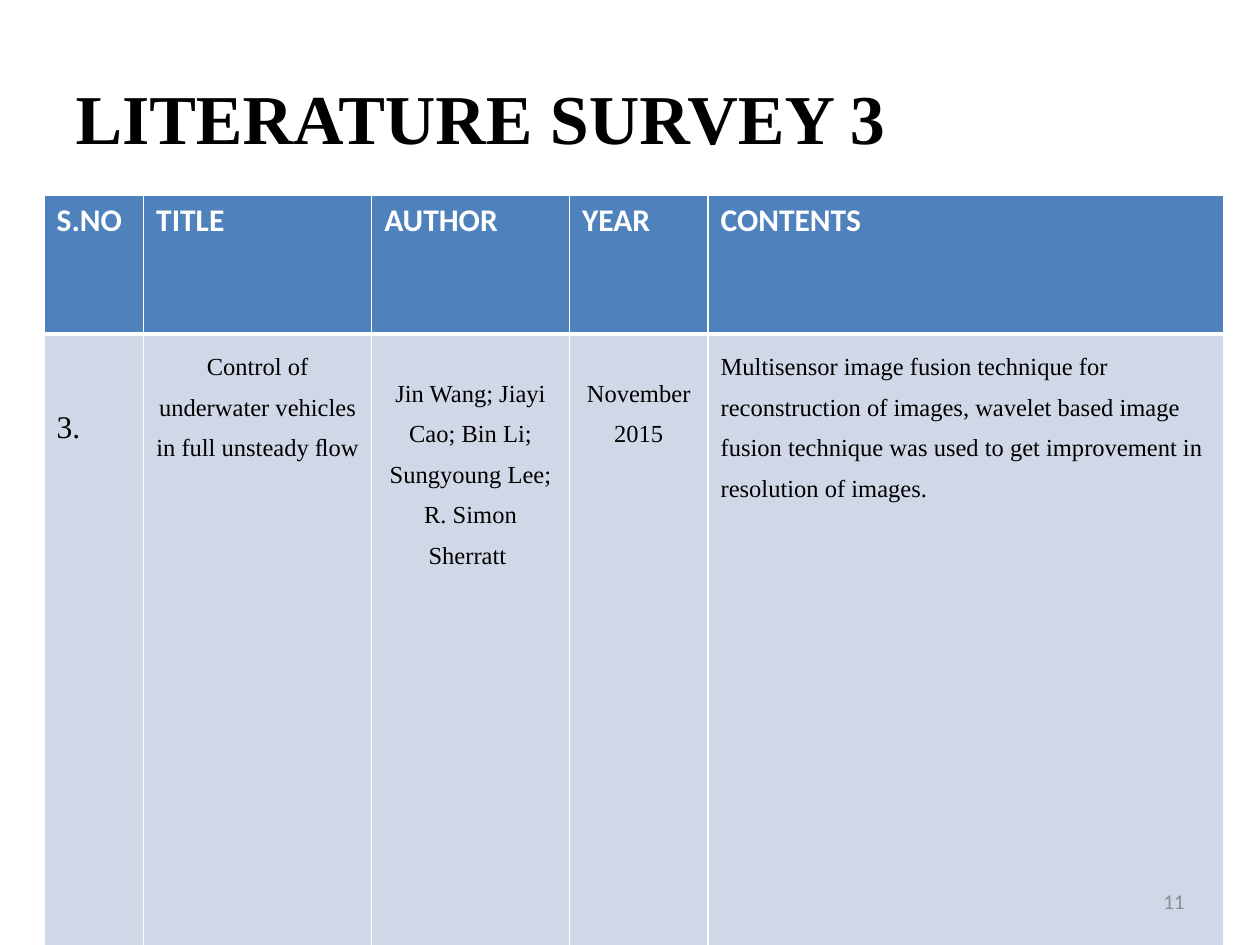
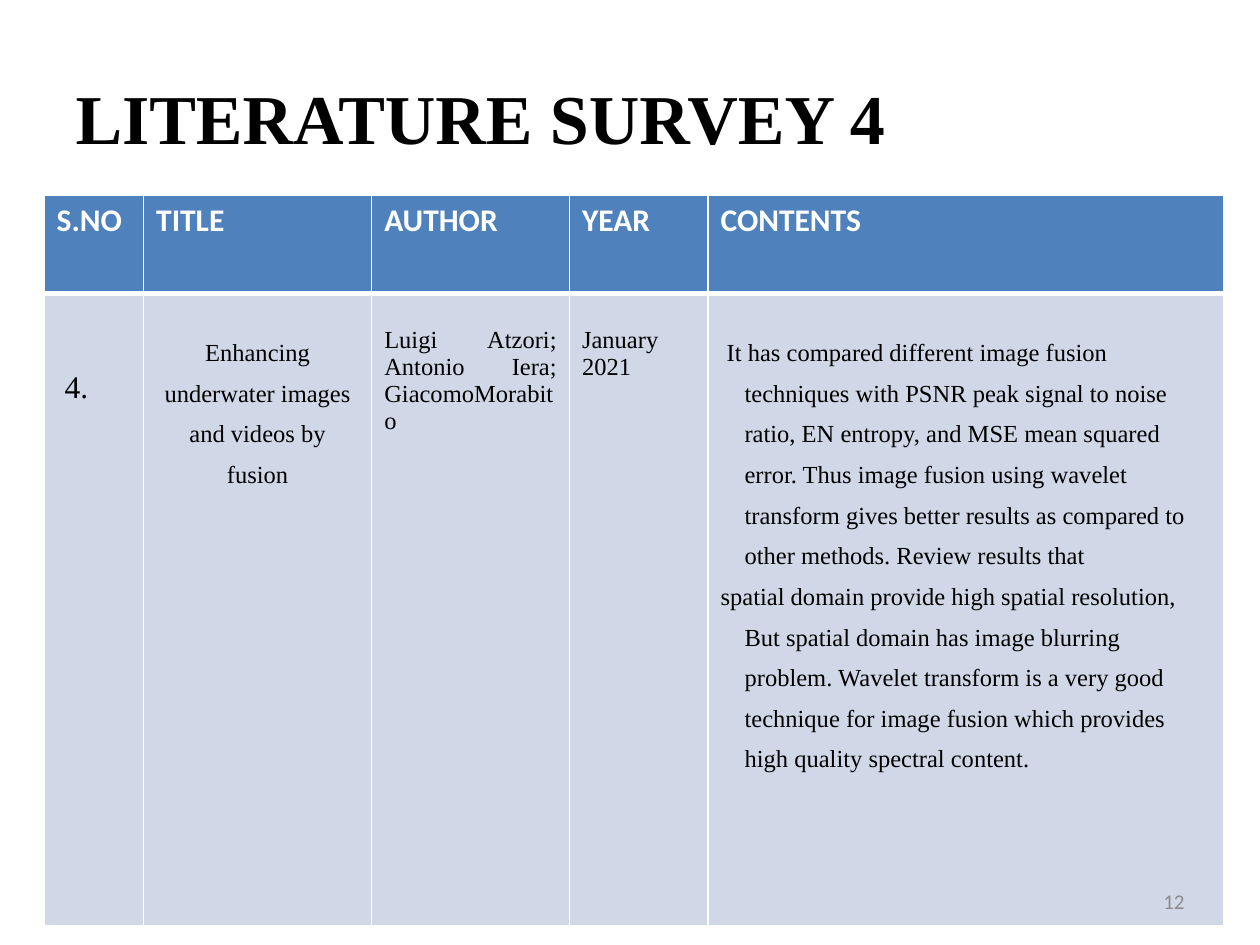
from lxml import etree
from pptx import Presentation
from pptx.dml.color import RGBColor
from pptx.enum import text as t
from pptx.oxml import ns
from pptx.util import Inches, Pt

# Shared look
SERIF, SANS = "Times New Roman", "Calibri"
BLACK, WHITE, GREY = "000000", "FFFFFF", "8C8C8C"
HEADER_BLUE, BODY_BLUE = "4F81BD", "D0D8E8"
TITLE_BOX = (0.5, 0.3, 9, 1.25)
TABLE_BOX = (0.35, 1.55, 9.37)
NUMBER_BOX = (7.17, 6.95, 2.33, 0.4)
HEADINGS = ["S.NO", "TITLE", "AUTHOR", "YEAR", "CONTENTS"]
COLUMN_WIDTHS = [0.79, 1.81, 1.57, 1.1, 4.09]
BODY_HEIGHT = 5.02
THIN, THICK = 1, 3

TITLE_FONT = dict(name=SERIF, size=Pt(40), bold=True)
HEADING_FONT = dict(name=SANS, size=Pt(18), bold=True)
INDEX_FONT = dict(name=SERIF, size=Pt(18), bold=False)
BODY_FONT = dict(name=SERIF, size=Pt(14), bold=False)
NUMBER_FONT = dict(name=SANS, size=Pt(12), bold=False)

# Paragraph settings and the top margins of body cells
LEFT = dict(alignment=t.PP_ALIGN.LEFT)
RIGHT = dict(alignment=t.PP_ALIGN.RIGHT)
JUSTIFIED = dict(alignment=t.PP_ALIGN.JUSTIFY)
CENTERED = dict(alignment=t.PP_ALIGN.CENTER, line_spacing=1.5)
OPEN = dict(alignment=t.PP_ALIGN.LEFT, line_spacing=1.5)
TOP, LOWERED, INDEX_TOP = 0.05, 0.26, 0.61

# One survey per page; each cell holds text, paragraph format, top margin, hanging indent
SURVEYS = [
    dict(title="LITERATURE SURVEY 3", number="11", header_height=1.1, cells=[
        ("3.", LEFT, INDEX_TOP, 0),
        ("Control of underwater vehicles in full unsteady ﬂow", CENTERED, TOP, 0),
        ("Jin Wang; Jiayi Cao; Bin Li; Sungyoung Lee; R. Simon Sherratt ",
         CENTERED, LOWERED, 0),
        ("November 2015", CENTERED, LOWERED, 0),
        ("Multisensor image fusion technique for reconstruction of images, wavelet "
         "based image fusion technique was used to get improvement in resolution "
         "of images.", OPEN, TOP, 0),
    ]),
    dict(title="LITERATURE SURVEY 4", number="12", header_height=0.78, cells=[
        (" 4.", LEFT, INDEX_TOP, 0),
        ("Enhancing underwater images and videos by fusion", CENTERED, LOWERED, 0),
        ("Luigi Atzori; Antonio Iera; GiacomoMorabito", JUSTIFIED, LOWERED, 0),
        ("January 2021", JUSTIFIED, LOWERED, 0),
        (" It has compared different image fusion techniques with PSNR peak signal "
         "to noise ratio, EN entropy, and MSE mean squared error. Thus image fusion "
         "using wavelet transform gives better results as compared to other methods. "
         "Review results that\n"
         "spatial domain provide high spatial resolution, But spatial domain has image "
         "blurring problem. Wavelet transform is a very good technique for image "
         "fusion which provides high quality spectral content.", OPEN, LOWERED, 0.19),
    ]),
]


def color(value):
    return RGBColor.from_string(value)


def apply(target, values):
    for name, value in values.items():
        setattr(target, name, value)


def write(frame, words, font, ink, layout, hanging=0):
    """Fill a text frame, one paragraph for each line of words."""
    frame.text = words
    for para in frame.paragraphs:
        apply(para, layout)
        if hanging:
            settings = para._p.get_or_add_pPr()
            settings.set("marL", str(Inches(hanging)))
            settings.set("indent", str(-Inches(hanging)))
        for span in para.runs:
            apply(span.font, font)
            span.font.color.rgb = color(ink)


def style_cell(cell, fill, top_line, bottom_line):
    """White rules around the cell, then its fill."""
    properties = cell._tc.get_or_add_tcPr()
    rules = dict(lnL=THIN, lnR=THIN, lnT=top_line, lnB=bottom_line)
    for side, width in rules.items():
        line = etree.SubElement(properties, ns.qn("a:" + side), w=str(Pt(width)))
        paint = etree.SubElement(line, ns.qn("a:solidFill"))
        etree.SubElement(paint, ns.qn("a:srgbClr"), val=WHITE)
    cell.fill.solid()
    cell.fill.fore_color.rgb = color(fill)


def add_title(page, words, box):
    title = page.shapes.title
    apply(title, dict(zip(("left", "top", "width", "height"), map(Inches, box))))
    title.text_frame.vertical_anchor = t.MSO_ANCHOR.MIDDLE
    write(title.text_frame, words, TITLE_FONT, BLACK, LEFT)


def add_survey_table(page, survey, box):
    heights = [survey["header_height"], BODY_HEIGHT]
    table = page.shapes.add_table(2, len(HEADINGS), *map(Inches, box),
                                  Inches(sum(heights))).table
    for row, height in zip(table.rows, heights):
        row.height = Inches(height)
    for index, (heading, width) in enumerate(zip(HEADINGS, COLUMN_WIDTHS)):
        table.columns[index].width = Inches(width)
        # Header cell
        header = table.cell(0, index)
        style_cell(header, HEADER_BLUE, THIN, THICK)
        write(header.text_frame, heading, HEADING_FONT, WHITE, LEFT)
        # Body cell
        words, layout, margin, hanging = survey["cells"][index]
        body = table.cell(1, index)
        style_cell(body, BODY_BLUE, THICK, THIN)
        body.margin_top = Inches(margin)
        font = BODY_FONT if index else INDEX_FONT
        write(body.text_frame, words, font, BLACK, layout, hanging)


def add_page_number(page, number, box):
    frame = page.shapes.add_textbox(*map(Inches, box)).text_frame
    apply(frame, dict(word_wrap=True, vertical_anchor=t.MSO_ANCHOR.MIDDLE))
    write(frame, number, NUMBER_FONT, GREY, RIGHT)


def add_survey_page(deck, survey):
    page = deck.slides.add_slide(deck.slide_layouts[5])
    add_title(page, survey["title"], TITLE_BOX)
    add_survey_table(page, survey, TABLE_BOX)
    add_page_number(page, survey["number"], NUMBER_BOX)


def main():
    deck = Presentation()
    deck.slide_width, deck.slide_height = Inches(10), Inches(7.5)
    for survey in SURVEYS:
        add_survey_page(deck, survey)
    deck.save("out.pptx")


if __name__ == "__main__":
    main()
